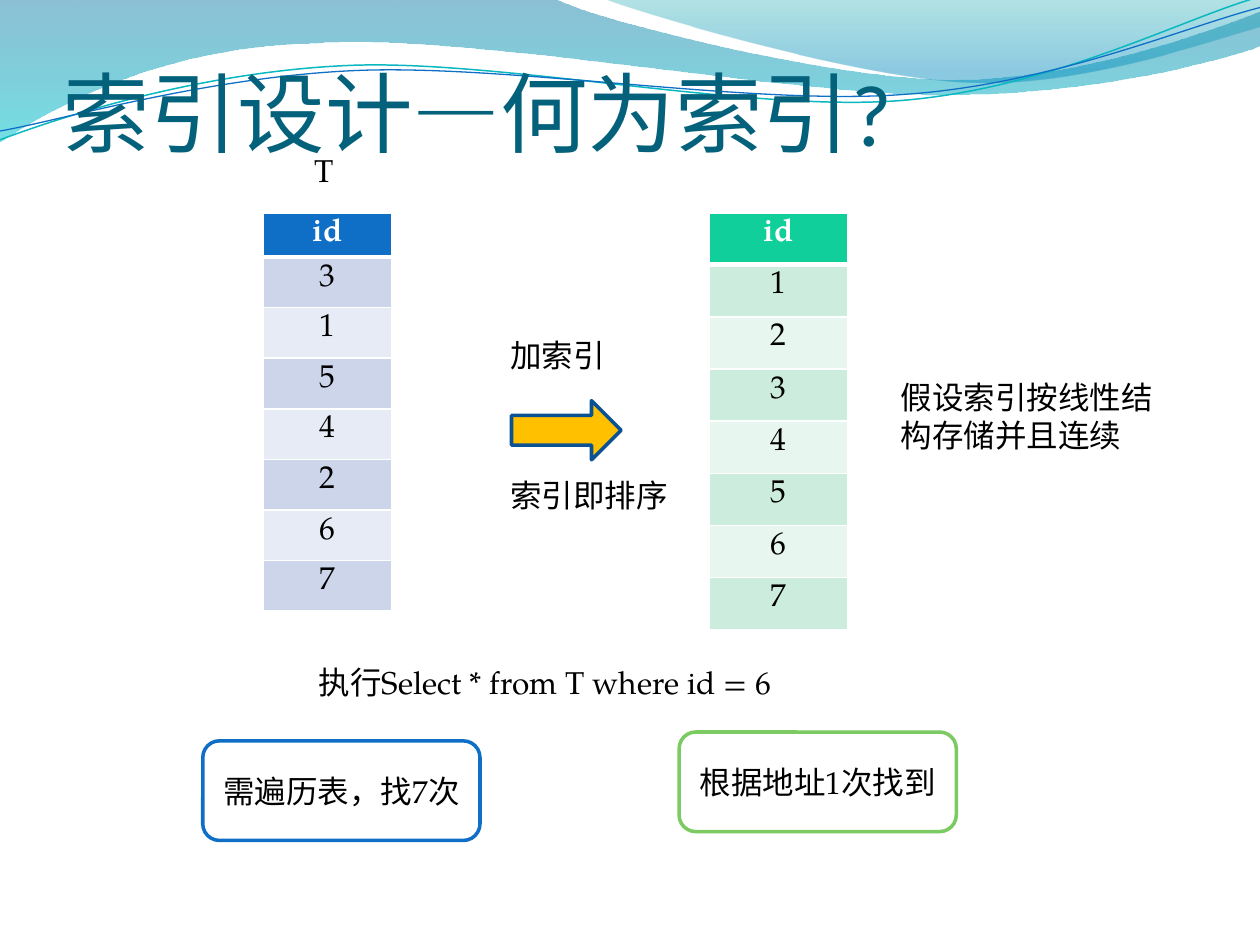
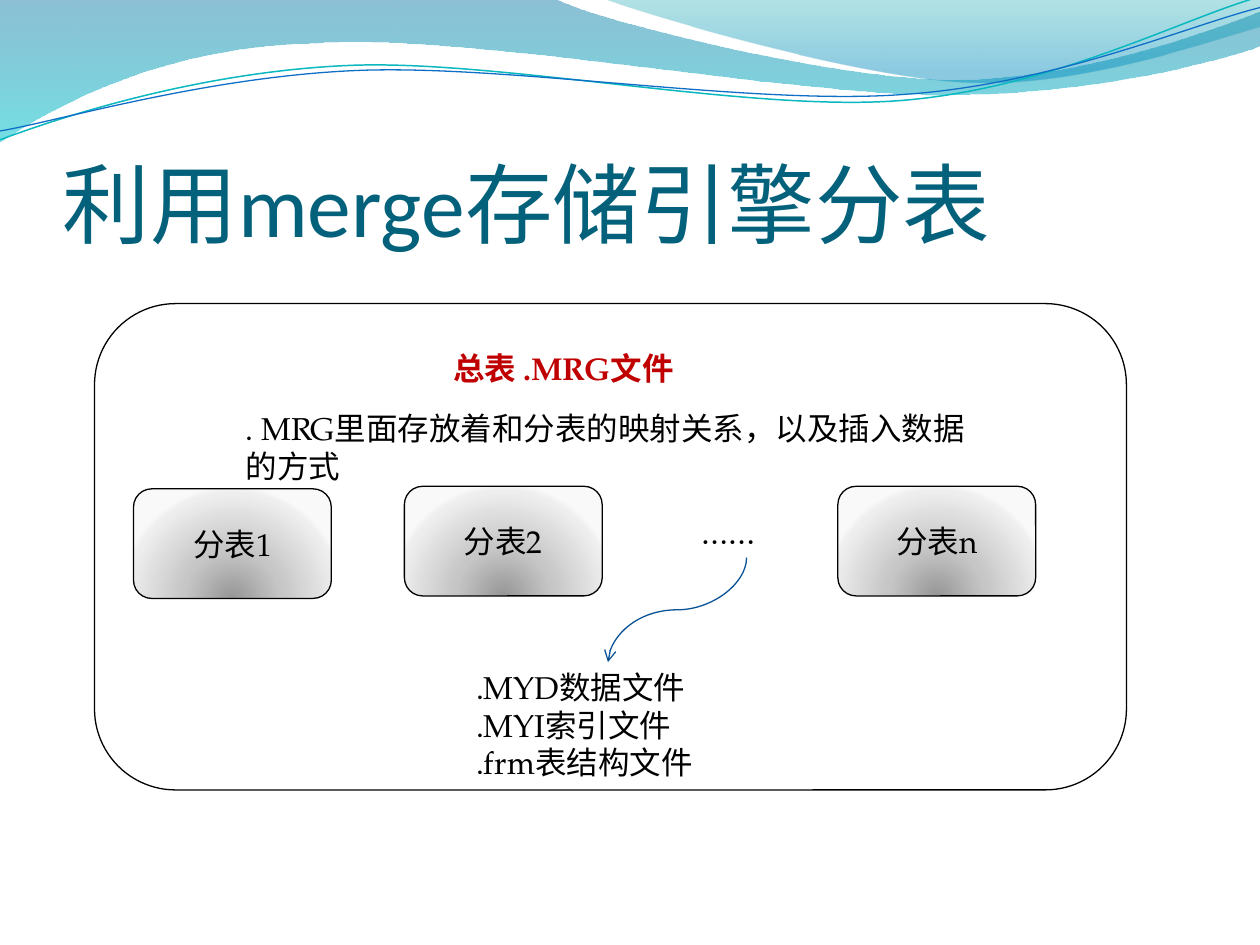
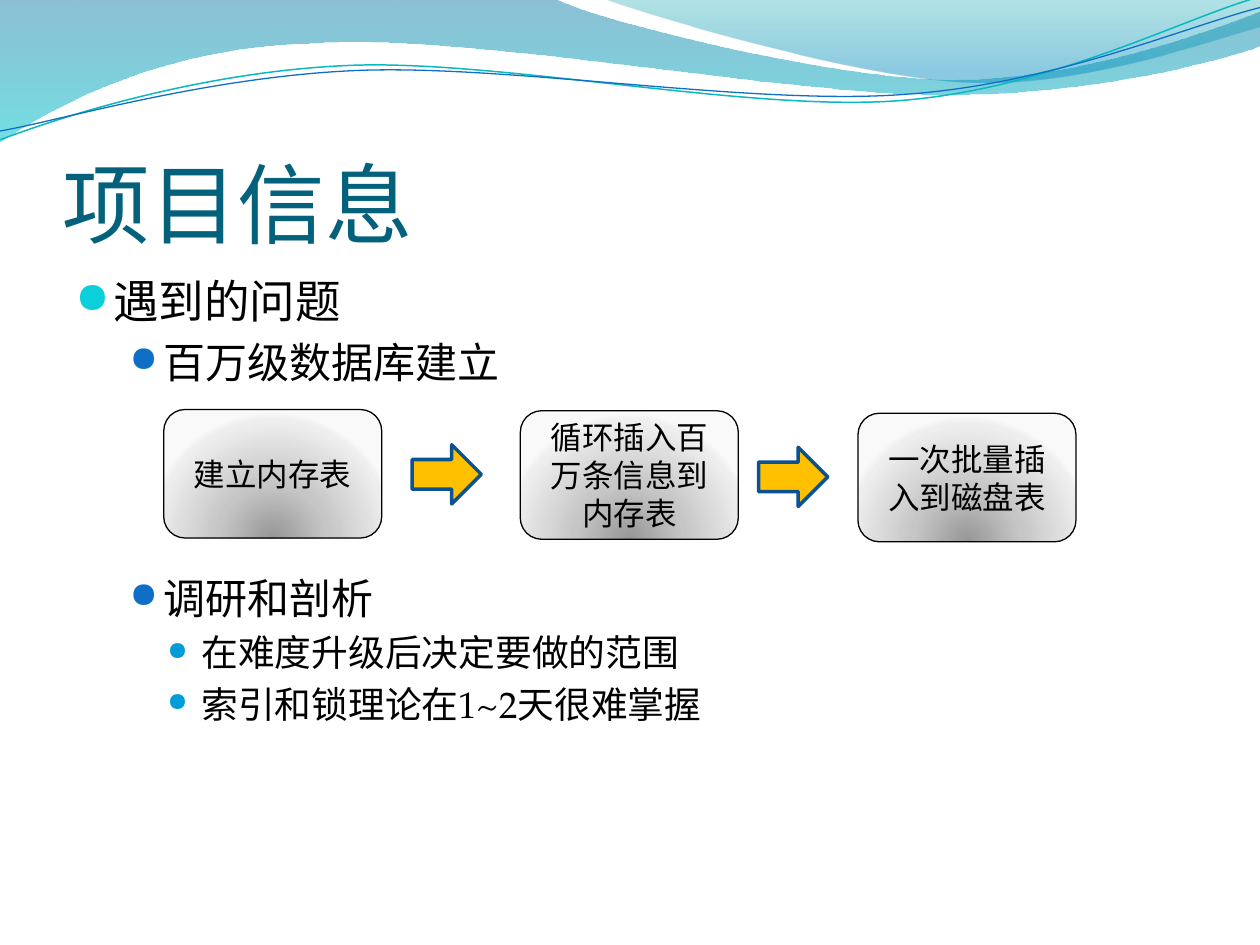
from pptx import Presentation
from pptx.dml.color import RGBColor
from pptx.enum.shapes import MSO_CONNECTOR, MSO_SHAPE
from pptx.enum.text import MSO_ANCHOR, PP_ALIGN
from pptx.oxml import parse_xml
from pptx.oxml.ns import nsdecls, qn
from pptx.util import Inches, Pt

# Shared style
TITLE_FONT, BODY_FONT, BULLET_FONT = "Calibri", "TeX Gyre Pagella", "OpenSymbol"
BLACK, WHITE, TEAL, RED = "000000", "FFFFFF", "04617B", "C00000"
BLUE, GREEN, CYAN, SKY = "0F6FC6", "7CCA62", "0BD0D9", "009DD9"
GOLD, NAVY, CURVE_BLUE = "FFC000", "0B5292", "095295"
LOW_TITLE, HIGH_TITLE = 0.77, 0.05

DOWNWARD = '<a:lin ang="5400000" scaled="1"/>'
FROM_BELOW = ('<a:path path="circle"><a:fillToRect l="50000" t="130000" '
              'r="50000" b="-30000"/></a:path>')
GREY_STOPS = [(0, "979797", 100), (43, "C6C6C6", 100),
              (93, "EEEEEE", 100), (100, "F9F9F9", 100)]

# Wave header: a two-number step is a line, a six-number step a curve
WAVE_BANDS = [
    ([(0, 0), (4.4, -0.01), (4.76, 0.17, 6.64, 0.63, 7.58, 0.63),
      (8.53, 0.63, 9.58, 0.26, 10, 0.09), (10.01, 0.36),
      (9.83, 0.44, 8.7, 0.76, 7.46, 0.75), (6.22, 0.75, 3.82, 0.28, 2.57, 0.34),
      (1.29, 0.36, 0.46, 0.83, -0.01, 1.13), (0, 0)],
     [(0, "0074A1", 45), (100, "00C6CF", 55)]),
    ([(4.79, -0.01), (5.09, 0.11, 6.82, 0.62, 7.69, 0.65),
      (8.56, 0.69, 9.61, 0.32, 10, 0.21), (10, 0), (4.79, -0.01)],
     [(0, "00A1A9", 30), (80, "008BBF", 45)]),
]
WAVE_LINES = [
    ([(0, 1.11), (0.48, 0.93, 1.58, 0.57, 2.77, 0.52),
      (3.95, 0.47, 5.93, 0.89, 7.13, 0.8), (8.33, 0.71, 9.38, 0.15, 9.98, -0.02)],
     "0AB8BF", 0.85),
    ([(0, 1.04), (0.47, 0.96, 1.64, 0.61, 2.83, 0.56),
      (4.03, 0.51, 5.97, 0.84, 7.17, 0.75), (8.36, 0.67, 9.41, 0.21, 10, 0.06)],
     BLUE, 0.75),
]

# Index slide
ID_TABLES = [  # left, width, header height, rows height, ids, header and row colours
    (2.09, 1.02, 0.32, 2.81, "3154267", BLUE, ("CCD5EA", "E7EBF5")),
    (5.63, 1.1, 0.41, 2.9, "1234567", "10CF9B", ("CCEDDE", "E7F6EF")),
]
TABLE_TOP = 1.69
INDEX_NOTES = [
    ((3.95, 2.62, 1.26, 0.4), "加索引"),
    ((2.43, 5.21, 4.02, 0.4), "执行Select * from T where id = 6"),
    ((2.4, 1.15, 0.63, 0.4), "T"),
    ((3.95, 3.73, 1.65, 0.4), "索引即排序"),
    ((7.05, 2.95, 2.28, 0.71), "假设索引按线性结构存储并且连续"),
]
LOOKUP_COSTS = [
    ((1.61, 5.88, 2.2, 0.79), "需遍历表，找7次", BLUE),
    ((5.39, 5.81, 2.2, 0.79), "根据地址1次找到", GREEN),
]

# Merge slide
MERGE_FRAME = (0.75, 2.41, 8.19, 3.86)
SUB_TABLES = [(1.06, 3.88, "分表1"), (3.21, 3.86, "分表2"), (6.65, 3.86, "分表n")]
SUB_TABLE_SIZE = (1.57, 0.87)
MERGE_NOTES = [
    ((5.47, 4.02, 0.91, 0.4), "……"),
    ((3.68, 5.25, 2.28, 1.01), ".MYD数据文件\n.MYI索引文件\n.frm表结构文件"),
    ((1.85, 3.2, 5.98, 0.71), ". MRG里面存放着和分表的映射关系，以及插入数据的方式"),
]

# Project slide
LEVELS = [  # text size, indent, hanging, bullet colour, bullet percent
    (26, 0.3, 0.3, CYAN, 95), (24, 0.7, 0.27, BLUE, 85), (21, 1, 0.27, SKY, 70),
]
PROBLEMS = [  # level, space before, text
    (0, 0, "遇到的问题"), (1, 4.8, "百万级数据库建立"), (1, 106, "调研和剖析"),
    (2, 4.2, "在难度升级后决定要做的范围"), (2, 4.2, "索引和锁理论在1~2天很难掌握"),
]
IMPORT_STEPS = [(1.3, 3.25, "建立内存表"), (4.13, 3.26, "循环插入百万条信息到内存表"),
                (6.81, 3.28, "一次批量插入到磁盘表")]
STEP_SIZE = (1.73, 1.02)
STEP_ARROWS = [(3.27, 3.53), (6.02, 3.55)]


def color(value):
    return RGBColor.from_string(value)


def inches(values):
    return [Inches(value) for value in values]


# Text and shape helpers
def style_text(frame, size=18, ink=BLACK, font=BODY_FONT, bold=False, align=None):
    for para in frame.paragraphs:
        para.alignment = align
        for span in para.runs:
            span.font.name, span.font.size, span.font.bold = font, Pt(size), bold
            span.font.color.rgb = color(ink)


def add_text(page, place, text, **style):
    frame = page.shapes.add_textbox(*inches(place)).text_frame
    frame.word_wrap = True
    frame.text = text
    style_text(frame, **style)
    return frame


def paint(shape, fill, line, weight):
    shape.shadow.inherit = False
    if fill:
        shape.fill.solid()
        shape.fill.fore_color.rgb = color(fill)
    else:
        shape.fill.background()
    if line:
        shape.line.color.rgb = color(line)
        shape.line.width = Pt(weight)
    else:
        shape.line.fill.background()


def add_box(page, place, text="", fill=None, line=BLACK, weight=0.75,
            kind=MSO_SHAPE.ROUNDED_RECTANGLE):
    box = page.shapes.add_shape(kind, *inches(place))
    paint(box, fill, line, weight)
    if text:
        box.text_frame.text = text
        box.text_frame.vertical_anchor = MSO_ANCHOR.MIDDLE
        style_text(box.text_frame, align=PP_ALIGN.CENTER)
    return box


def add_arrow(page, place):
    add_box(page, place, fill=GOLD, line=NAVY, weight=2, kind=MSO_SHAPE.RIGHT_ARROW)


def set_gradient(shape, stops, direction):
    shape.fill.background()
    stop_xml = "".join(
        f'<a:gs pos="{at * 1000}"><a:srgbClr val="{value}">'
        f'<a:alpha val="{opacity * 1000}"/></a:srgbClr></a:gs>'
        for at, value, opacity in stops)
    gradient = parse_xml(f'<a:gradFill {nsdecls("a")} rotWithShape="1">'
                         f'<a:gsLst>{stop_xml}</a:gsLst>{direction}</a:gradFill>')
    properties = shape._element.spPr
    properties.replace(properties.find(qn("a:noFill")), gradient)


def add_grey_boxes(page, items, size):
    for left, top, text in items:
        box = add_box(page, (left, top, *size), text)
        set_gradient(box, GREY_STOPS, FROM_BELOW)


# Wave header and title
def add_wave(page, steps, close, line=None, weight=0):
    points = [tuple(inches(step[at:at + 2]))
              for step in steps for at in range(0, len(step), 2)]
    builder = page.shapes.build_freeform(*points[0])
    builder.add_line_segments(points[1:], close=close)
    wave = builder.convert_to_shape()
    # Join the three points of each curve into one Bezier segment
    segments = iter(list(wave._element.iter(qn("a:lnTo"))))
    for step in steps[1:]:
        segment = next(segments)
        if len(step) == 6:
            curve = parse_xml(f'<a:cubicBezTo {nsdecls("a")}/>')
            segment.addprevious(curve)
            for part in (segment, next(segments), next(segments)):
                curve.append(part[0])
                part.getparent().remove(part)
    paint(wave, None, line, weight)
    return wave


def add_page(deck, title, title_top=LOW_TITLE):
    page = deck.slides.add_slide(deck.slide_layouts[6])
    for steps, stops in WAVE_BANDS:
        set_gradient(add_wave(page, steps, True), stops, DOWNWARD)
    for steps, line, weight in WAVE_LINES:
        add_wave(page, steps, False, line, weight)
    frame = add_text(page, (0.5, title_top, 9, 1.25), title,
                     size=50, ink=TEAL, font=TITLE_FONT)
    frame.vertical_anchor = MSO_ANCHOR.BOTTOM
    frame.margin_left = frame.margin_right = frame.margin_bottom = 0
    return page


# Table
def set_borders(cell, top, bottom):
    properties = cell._tc.get_or_add_tcPr()
    for index, (side, weight) in enumerate(zip("LRTB", (1, 1, top, bottom))):
        properties.insert(index, parse_xml(
            f'<a:ln{side} {nsdecls("a")} w="{Pt(weight)}"><a:solidFill>'
            f'<a:srgbClr val="{WHITE}"/></a:solidFill></a:ln{side}>'))


def add_id_table(page, left, width, header_height, rows_height, ids, header, bands):
    texts = ["id", *ids]
    heights = [header_height] + [rows_height / len(ids)] * len(ids)
    table = page.shapes.add_table(
        len(texts), 1, *inches((left, TABLE_TOP, width, sum(heights)))).table
    for row, (text, height) in enumerate(zip(texts, heights)):
        table.rows[row].height = Inches(height)
        cell = table.cell(row, 0)
        cell.margin_bottom = 0
        cell.text_frame.text = text
        style_text(cell.text_frame, ink=BLACK if row else WHITE,
                   bold=row == 0, align=PP_ALIGN.CENTER)
        cell.fill.solid()
        cell.fill.fore_color.rgb = color(bands[(row - 1) % 2] if row else header)
        set_borders(cell, 3 if row == 1 else 1, 1 if row else 3)


# Slides
def build_index_page(deck):
    page = add_page(deck, "索引设计—何为索引?", HIGH_TITLE)
    for table in ID_TABLES:
        add_id_table(page, *table)
    add_arrow(page, (4.06, 3.18, 0.87, 0.47))
    for place, text in INDEX_NOTES:
        add_text(page, place, text)
    for place, text, line in LOOKUP_COSTS:
        add_box(page, place, text, WHITE, line, 2)


def build_merge_page(deck):
    page = add_page(deck, "利用merge存储引擎分表")
    add_grey_boxes(page, SUB_TABLES, SUB_TABLE_SIZE)
    add_box(page, MERGE_FRAME)
    add_text(page, (3.5, 2.72, 2.28, 0.4), "总表 .MRG文件", ink=RED, bold=True)
    for place, text in MERGE_NOTES:
        add_text(page, place, text)
    # A quarter turn makes the curve leave and arrive vertically
    curve = page.shapes.add_connector(MSO_CONNECTOR.CURVE,
                                      *inches((4.96, 4.29, 5.79, 5.39)))
    curve.line.color.rgb = color(CURVE_BLUE)
    curve.line.width = Pt(0.75)
    curve.line._get_or_add_ln().append(
        parse_xml(f'<a:tailEnd {nsdecls("a")} type="arrow"/>'))
    properties = curve._element.spPr
    properties.find(qn("a:xfrm")).set("rot", "5400000")
    properties.append(parse_xml(f'<a:effectLst {nsdecls("a")}/>'))


def build_project_page(deck):
    page = add_page(deck, "项目信息")
    frame = add_text(page, (0.5, 2.12, 9, 4.8), "\n".join(text for *_, text in PROBLEMS))
    for para, (level, space, _) in zip(frame.paragraphs, PROBLEMS):
        size, indent, hanging, bullet, percent = LEVELS[level]
        para.level = level
        para.space_before = Pt(space)
        para.runs[0].font.size = Pt(size)
        properties = para._p.get_or_add_pPr()
        properties.set("marL", str(Inches(indent)))
        properties.set("indent", str(-Inches(hanging)))
        for bullet_xml in (f'<a:buClr {nsdecls("a")}><a:srgbClr val="{bullet}"/></a:buClr>',
                           f'<a:buSzPct {nsdecls("a")} val="{percent * 1000}"/>',
                           f'<a:buFont {nsdecls("a")} typeface="{BULLET_FONT}"/>',
                           f'<a:buChar {nsdecls("a")} char="●"/>'):
            properties.append(parse_xml(bullet_xml))
    add_grey_boxes(page, IMPORT_STEPS, STEP_SIZE)
    for left, top in STEP_ARROWS:
        add_arrow(page, (left, top, 0.55, 0.47))


def main():
    deck = Presentation()
    deck.slide_width, deck.slide_height = Inches(10), Inches(7.5)
    build_index_page(deck)
    build_merge_page(deck)
    build_project_page(deck)
    deck.save("out.pptx")


if __name__ == "__main__":
    main()
